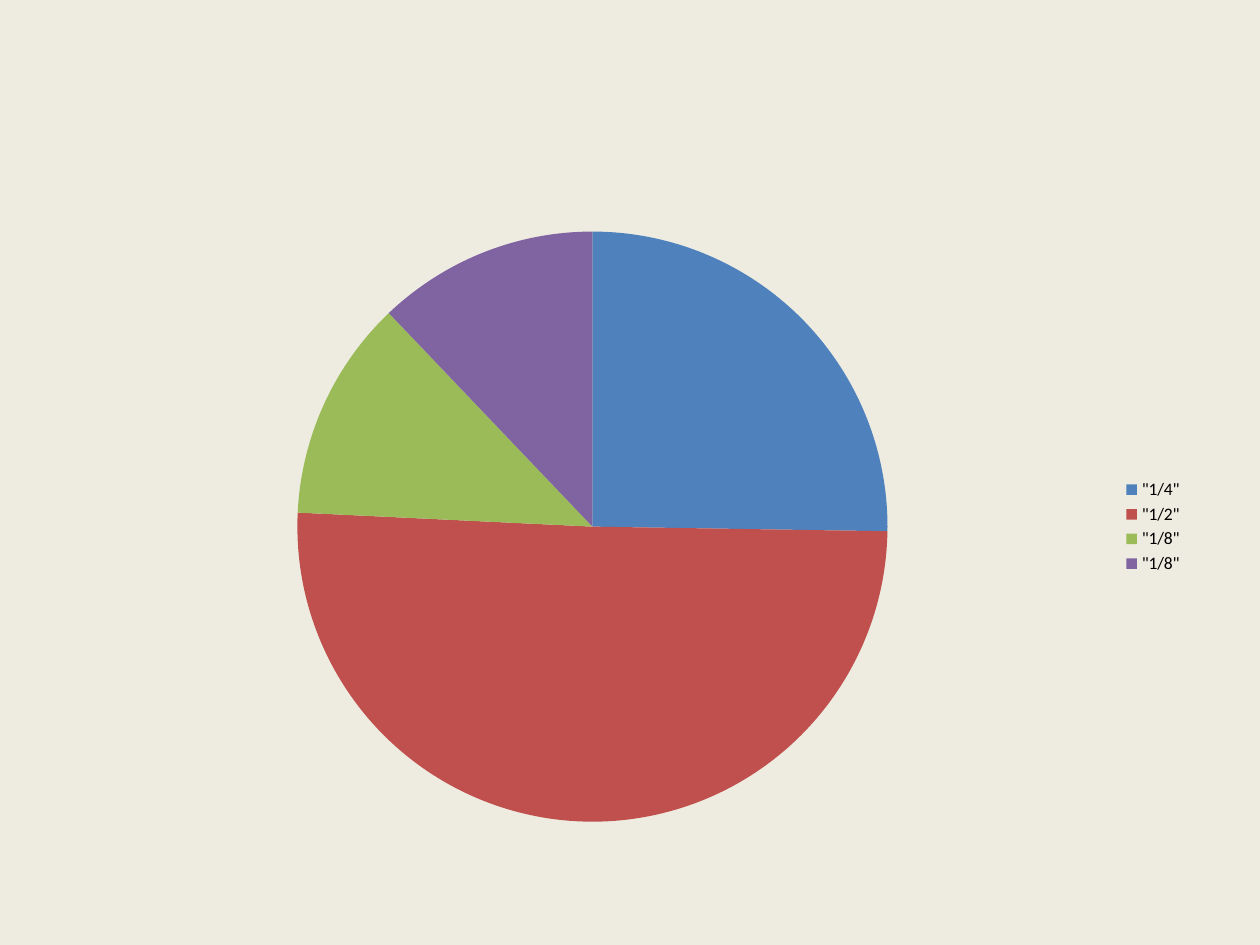
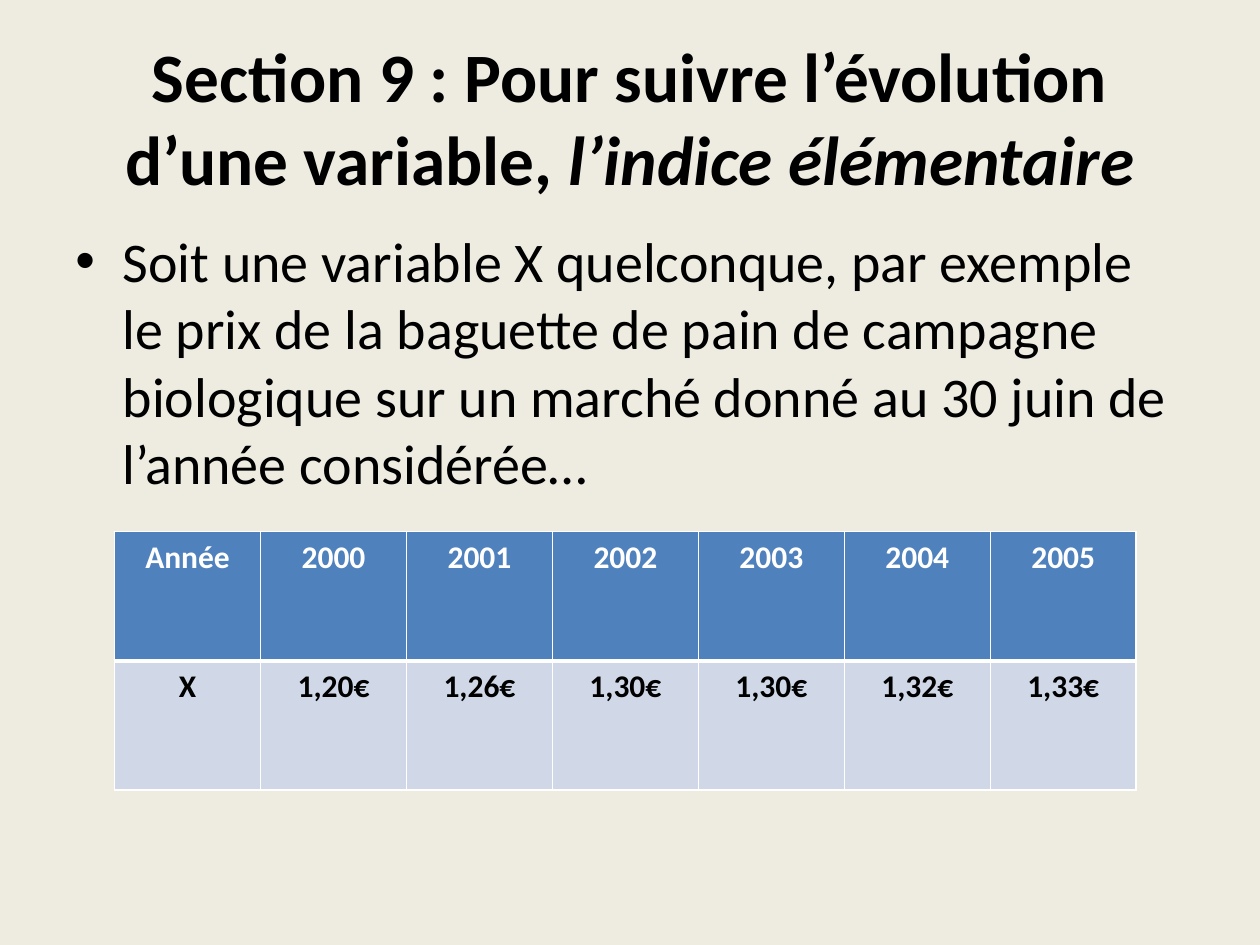
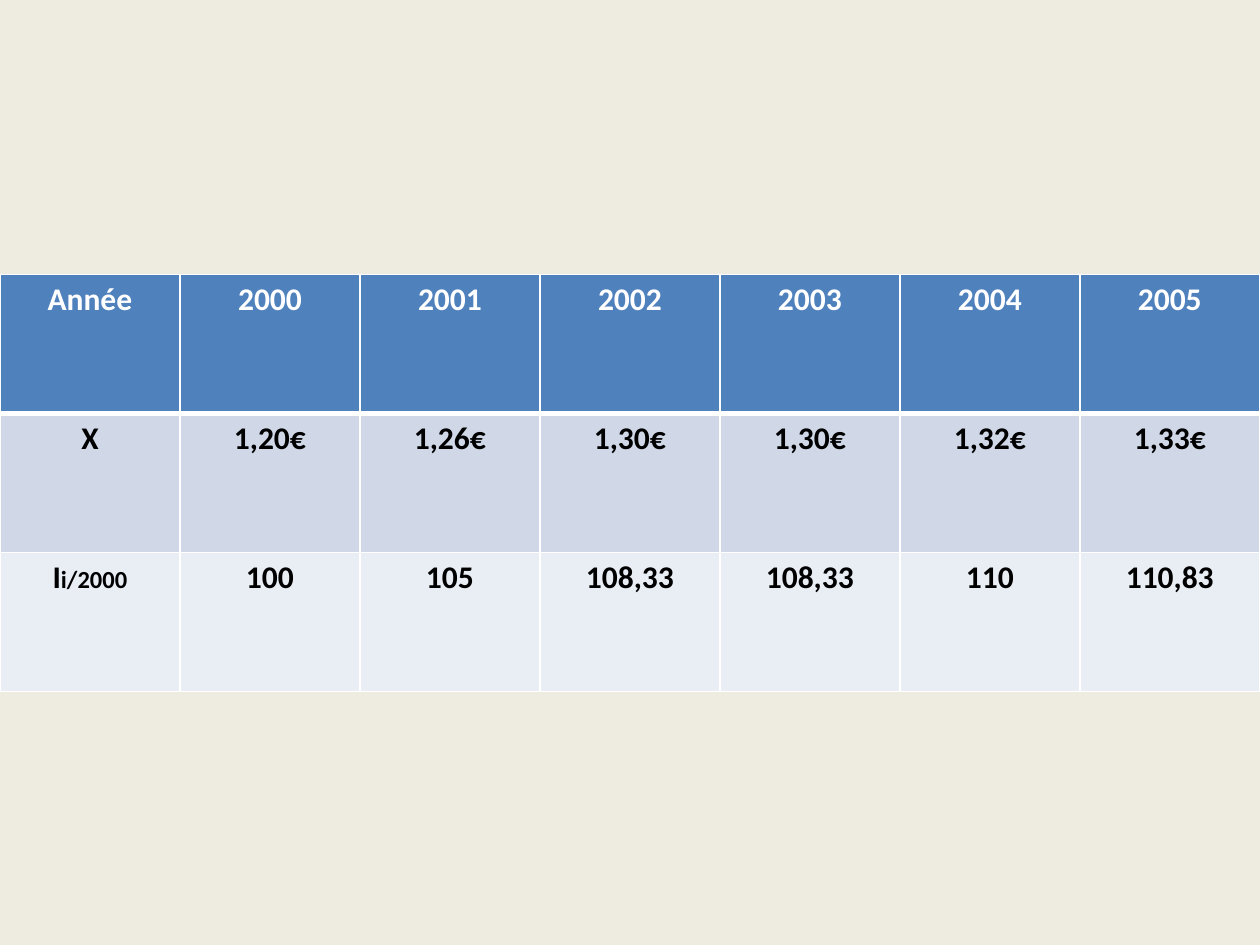
"""Build three slides on following a variable with an elementary index."""
import pptx
import pptx.chart.data
import pptx.dml.color
import pptx.enum.chart
import pptx.enum.text
import pptx.oxml
import pptx.oxml.ns
import pptx.util
from pptx.util import Inches

RGBColor = pptx.dml.color.RGBColor
CREAM = RGBColor(0xEE, 0xEC, 0xE1)
BLACK = RGBColor(0x00, 0x00, 0x00)
WHITE = RGBColor(0xFF, 0xFF, 0xFF)
BLUE = RGBColor(0x4F, 0x81, 0xBD)
RED = RGBColor(0xC0, 0x50, 0x4D)
GREEN = RGBColor(0x9B, 0xBB, 0x59)
PURPLE = RGBColor(0x80, 0x64, 0xA2)
BAND_DARK = RGBColor(0xD0, 0xD8, 0xE8)
BAND_LIGHT = RGBColor(0xE9, 0xED, 0xF4)

FONT = "Calibri"
CENTER = pptx.enum.text.PP_ALIGN.CENTER
YEARS = ["Année", "2000", "2001", "2002", "2003", "2004", "2005"]
PRICES = ["X", "1,20€", "1,26€", "1,30€", "1,30€", "1,32€", "1,33€"]
INDICES = [[("I", {}), ("i/2000", {"size": 14})],
           "100", "105", "108,33", "108,33", "110", "110,83"]


def write(frame, text, size=18, color=BLACK, bold=False, align=None):
    """Write a string or a list of (text, format) pairs in the first paragraph."""
    paragraph = frame.paragraphs[0]
    paragraph.alignment = align
    for words, changes in [(text, {})] if isinstance(text, str) else text:
        run = paragraph.add_run()
        run.text = words
        run.font.name = FONT
        run.font.size = pptx.util.Pt(changes.get("size", size))
        run.font.bold = bold
        run.font.italic = changes.get("italic", False)
        run.font.color.rgb = color
    return paragraph


class Deck:
    """Hold the shared style and the current slide."""

    def __init__(self):
        self.presentation = pptx.Presentation()
        self.presentation.slide_width = Inches(10)
        self.presentation.slide_height = Inches(7.5)
        self.slide = None

    def new_slide(self):
        """Start a blank slide on the cream background."""
        self.slide = self.presentation.slides.add_slide(self.presentation.slide_layouts[6])
        self.slide.background.fill.solid()
        self.slide.background.fill.fore_color.rgb = CREAM

    def text_box(self, top, height):
        """Add a wrapping text box between the side margins."""
        frame = self.slide.shapes.add_textbox(
            Inches(0.5), Inches(top), Inches(9), Inches(height)).text_frame
        frame.word_wrap = True
        return frame

    def title(self, text):
        """Add the centred bold title."""
        frame = self.text_box(0.3, 1.25)
        frame.vertical_anchor = pptx.enum.text.MSO_ANCHOR.MIDDLE
        write(frame, text, size=39.6, bold=True, align=CENTER)

    def bullet(self, text):
        """Add the body text with a hanging bullet."""
        paragraph = write(self.text_box(1.75, 4.95), text, size=32)
        paragraph.space_before = pptx.util.Pt(6.4)
        indent = pptx.util.Pt(27)
        properties = paragraph._p.get_or_add_pPr()
        properties.set("marL", str(indent))
        properties.set("indent", str(-indent))
        for tag, key, value in (("buFont", "typeface", "Arial"), ("buChar", "char", "•")):
            mark = pptx.oxml.parse_xml(f'<a:{tag} {pptx.oxml.ns.nsdecls("a")} {key}="{value}"/>')
            properties.append(mark)

    def borders(self, cell, bottom):
        """Draw white cell borders with the given bottom width in points."""
        properties = cell._tc.get_or_add_tcPr()
        for side, width in (("L", 1), ("R", 1), ("T", 1), ("B", bottom)):
            properties.append(pptx.oxml.parse_xml(
                f'<a:ln{side} {pptx.oxml.ns.nsdecls("a")} w="{pptx.util.Pt(width)}">'
                f'<a:solidFill><a:srgbClr val="{WHITE}"/></a:solidFill></a:ln{side}>'))

    def table(self, rows, left, top, width, height):
        """Add a table with a blue header and equal banded rows."""
        table = self.slide.shapes.add_table(
            len(rows), len(rows[0]), Inches(left), Inches(top),
            Inches(width), Inches(height)).table
        for row, values in enumerate(rows):
            header = row == 0
            for column, value in enumerate(values):
                cell = table.cell(row, column)
                self.borders(cell, bottom=3 if header else 1)
                cell.fill.solid()
                cell.fill.fore_color.rgb = (BLUE, BAND_DARK, BAND_LIGHT)[row]
                write(cell.text_frame, value, bold=True, align=CENTER,
                      color=WHITE if header else BLACK)

    def pie(self, labels, values, colors, left, top, width, height):
        """Add a pie chart with its legend on the right."""
        data = pptx.chart.data.CategoryChartData()
        data.categories = labels
        data.add_series("Series 1", values)
        chart = self.slide.shapes.add_chart(
            pptx.enum.chart.XL_CHART_TYPE.PIE, Inches(left), Inches(top),
            Inches(width), Inches(height), data).chart
        chart.has_title = False
        chart.font.name = FONT
        chart.font.size = pptx.util.Pt(10)
        chart.font.color.rgb = BLACK
        chart.has_legend = True
        chart.legend.position = pptx.enum.chart.XL_LEGEND_POSITION.RIGHT
        chart.legend.include_in_layout = False
        plot = chart.plots[0]
        plot.vary_by_categories = True
        for index, color in enumerate(colors):
            fill = plot.series[0].points[index].format.fill
            fill.solid()
            fill.fore_color.rgb = color


deck = Deck()

deck.new_slide()
deck.pie(['"1/4"', '"1/2"', '"1/8"', '"1/8"'], [25, 50, 12, 12],
         [BLUE, RED, GREEN, PURPLE], left=0.51, top=1.7, width=8.98, height=4.96)

deck.new_slide()
deck.title([("Section 9 : Pour suivre l’évolution d’une variable, ", {}),
            ("l’indice élémentaire", {"italic": True})])
deck.bullet("Soit une variable X quelconque, par exemple le prix de la baguette de pain "
            "de campagne biologique sur un marché donné au 30 juin de l’année considérée…")
deck.table([YEARS, PRICES], left=0.91, top=4.22, width=8.11, height=2.05)

deck.new_slide()
deck.table([YEARS, PRICES, INDICES], left=0, top=2.18, width=10, height=3.31)

deck.presentation.save("out.pptx")
